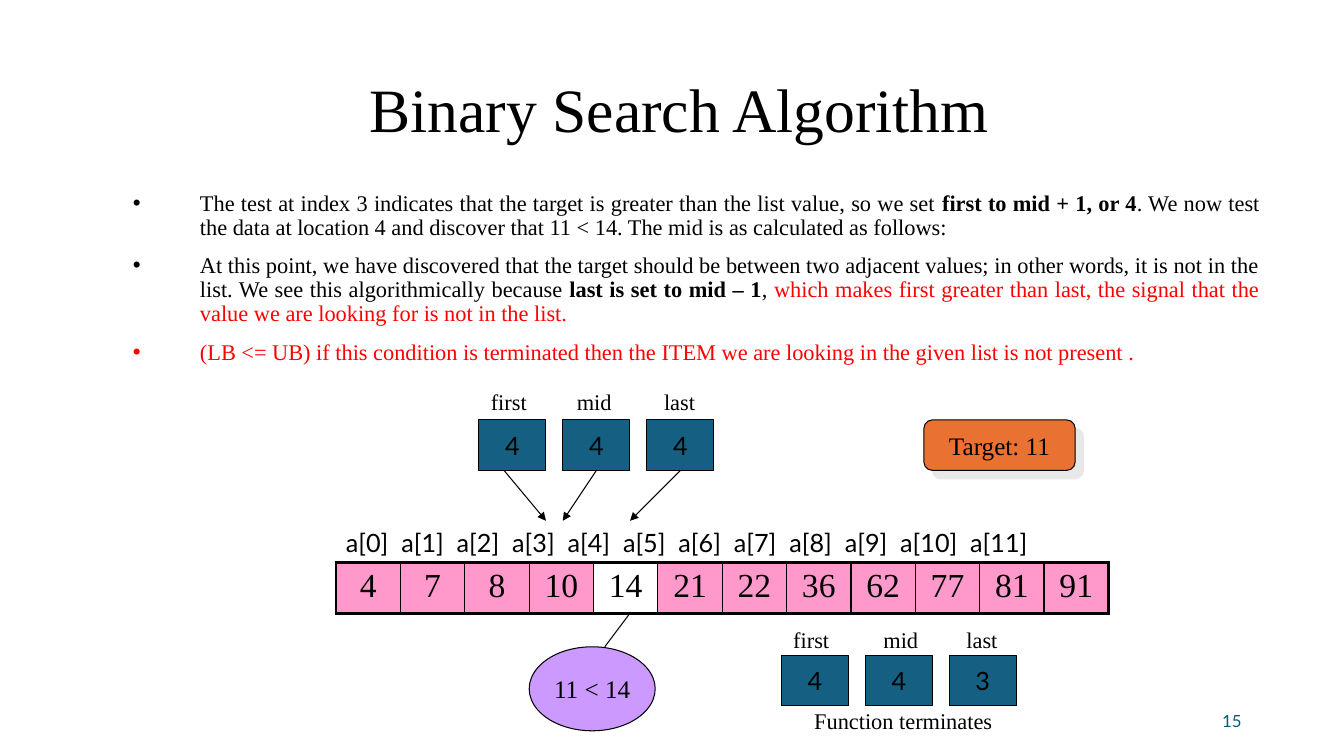
from dataclasses import dataclass

from lxml import etree
from pptx import Presentation
from pptx.dml.color import RGBColor
from pptx.enum.shapes import MSO_CONNECTOR, MSO_SHAPE
from pptx.enum.text import MSO_ANCHOR, MSO_AUTO_SIZE, PP_ALIGN
from pptx.oxml.ns import qn
from pptx.util import Emu, Pt

EMU_PER_PX = 9525
SERIF, SANS = "Times New Roman", "Lato"
BLACK, RED, TEAL, PINK = "000000", "FF0000", "156082", "FF99CC"
LEFT, CENTER, RIGHT, JUSTIFY = PP_ALIGN.LEFT, PP_ALIGN.CENTER, PP_ALIGN.RIGHT, PP_ALIGN.JUSTIFY
TOP, MIDDLE = MSO_ANCHOR.TOP, MSO_ANCHOR.MIDDLE
RECTANGLE, ROUNDED, OVAL = MSO_SHAPE.RECTANGLE, MSO_SHAPE.ROUNDED_RECTANGLE, MSO_SHAPE.OVAL


@dataclass
class Box:
    left: int
    top: int
    width: int
    height: int


@dataclass
class Run:
    text: str
    bold: bool = False
    color: str = BLACK


@dataclass
class Label:
    text: str
    box: Box
    size: int = 16
    font: str = SERIF


@dataclass
class Node:
    text: str
    box: Box
    kind: int = RECTANGLE
    fill: str = TEAL
    font: str = SANS


@dataclass
class Line:
    start: tuple[int, int]
    end: tuple[int, int]
    arrow: bool = True


@dataclass
class Pointers:
    left: int
    top: int
    values: list[int]
    label_top: int
    label_lefts: list[int]


BULLETS = [
    [Run("The test at index 3 indicates that the target is greater than the list value, so we set "),
     Run("first to mid + 1, or 4", bold=True),
     Run(". We now test the data at location 4 and discover that 11 < 14. "
         "The mid is as calculated as follows:")],
    [Run("At this point, we have discovered that the target should be between two adjacent values; "
         "in other words, it is not in the list. We see this algorithmically because "),
     Run("last is set to mid – 1", bold=True),
     Run(", "),
     Run("which makes first greater than last, the signal that the value we are looking for "
         "is not in the list.", color=RED)],
    [Run("(LB <= UB) if this condition is terminated then the ITEM we are looking in the given "
         "list is not present .", color=RED)],
]
ARRAY = [4, 7, 8, 10, 14, 21, 22, 36, 62, 77, 81, 91]
TESTED_INDEX = 4
ARRAY_BOX = Box(320, 536, 736, 48)
POINTER_NAMES = {"first": 54, "mid": 53, "last": 49}
POINTER_PITCH = 80
POINTER_GROUPS = [
    Pointers(456, 400, [4, 4, 4], 365, [458, 540, 623]),
    Pointers(744, 624, [4, 4, 3], 592, [746, 832, 911]),
]
LABELS = [
    Label("  ".join(f"a[{index}]" for index in range(len(ARRAY))), Box(320, 497, 741, 38), 18, SANS),
    Label("Function terminates", Box(766, 669, 190, 36)),
]
TARGET = Node("Target: 11", Box(880, 400, 144, 48), ROUNDED, "E97132", SERIF)
COMPARISON = Node("11 < 14", Box(504, 616, 120, 80), OVAL, "CC99FF", SERIF)
LINES = [
    Line((576, 616), (600, 584), arrow=False),
    Line((480, 448), (520, 496)),
    Line((568, 448), (536, 496)),
    Line((648, 448), (600, 496)),
]


def px(value: int) -> Emu:
    return Emu(value * EMU_PER_PX)


def rgb(value: str) -> RGBColor:
    return RGBColor.from_string(value)


def place(box: Box) -> list[Emu]:
    return [px(value) for value in (box.left, box.top, box.width, box.height)]


def apply(target, values: dict) -> None:
    for name, value in values.items():
        setattr(target, name, value)


def add_run(paragraph, text: str, size: int, font: str, color: str = BLACK, bold: bool = False) -> None:
    run = paragraph.add_run()
    run.text = text
    apply(run.font, {"size": Pt(size), "name": font, "bold": bold})
    run.font.color.rgb = rgb(color)


def write(frame, text: str, size: int, font: str, align=LEFT, anchor=TOP,
          wrap: bool = False, color: str = BLACK) -> None:
    apply(frame, {"word_wrap": wrap, "vertical_anchor": anchor})
    paragraph = frame.paragraphs[0]
    paragraph.alignment = align
    add_run(paragraph, text, size, font, color)


def add_title(slide, text: str) -> None:
    title = slide.shapes.title
    apply(title, dict(zip(("left", "top", "width", "height"), place(Box(88, 38, 1104, 139)))))
    write(title.text_frame, text, 44, SERIF, CENTER, MIDDLE, wrap=True)
    title.text_frame.paragraphs[0].line_spacing = 0.9


def add_bullets(slide, box: Box) -> None:
    frame = slide.shapes.add_textbox(*place(box)).text_frame
    frame.word_wrap = True
    for index, runs in enumerate(BULLETS):
        paragraph = frame.add_paragraph() if index else frame.paragraphs[0]
        apply(paragraph, {"alignment": JUSTIFY, "line_spacing": 0.9, "space_before": Pt(10)})
        properties = paragraph._p.get_or_add_pPr()
        properties.set("marL", str(px(64)))
        properties.set("indent", str(px(-64)))
        etree.SubElement(properties, qn("a:buFont"), typeface="Arial")
        etree.SubElement(properties, qn("a:buChar"), char="•")
        for run in runs:
            add_run(paragraph, run.text, 16, SERIF, run.color, run.bold)


def add_border(cell, side: str, width: float) -> None:
    border = etree.SubElement(cell._tc.get_or_add_tcPr(), qn(f"a:{side}"), w=str(Pt(width)))
    fill = etree.SubElement(border, qn("a:solidFill"))
    etree.SubElement(fill, qn("a:srgbClr"), val=BLACK)


def add_array(slide) -> None:
    table = slide.shapes.add_table(1, len(ARRAY), *place(ARRAY_BOX)).table
    apply(table, {"first_row": False, "horz_banding": False})
    last = len(ARRAY) - 1
    for index, value in enumerate(ARRAY):
        table.columns[index].width = px(ARRAY_BOX.width) // len(ARRAY)
        cell = table.cell(0, index)
        write(cell.text_frame, str(value), 24, SERIF, CENTER, wrap=True)
        widths = {"lnL": 1 if index else 2.25, "lnR": 2.25 if index == last else 1,
                  "lnT": 2.25, "lnB": 2.25}
        for side, width in widths.items():
            add_border(cell, side, width)
        if index == TESTED_INDEX:
            cell.fill.background()
        else:
            cell.fill.solid()
            cell.fill.fore_color.rgb = rgb(PINK)


def add_label(slide, label: Label) -> None:
    frame = slide.shapes.add_textbox(*place(label.box)).text_frame
    write(frame, label.text, label.size, label.font)
    frame.auto_size = MSO_AUTO_SIZE.SHAPE_TO_FIT_TEXT


def add_node(slide, node: Node):
    shape = slide.shapes.add_shape(node.kind, *place(node.box))
    shape.shadow.inherit = False
    shape.fill.solid()
    shape.fill.fore_color.rgb = rgb(node.fill)
    shape.line.color.rgb = rgb(BLACK)
    shape.line.width = Pt(0.75)
    write(shape.text_frame, node.text, 18, node.font, CENTER, MIDDLE)
    return shape


def add_shadow(shape) -> None:
    effects = shape._element.spPr.find(qn("a:effectLst"))
    shadow = etree.SubElement(effects, qn("a:outerShdw"), dist=str(Pt(8.5)), dir="2700000",
                              algn="ctr", rotWithShape="0")
    etree.SubElement(shadow, qn("a:srgbClr"), val="E8E8E8")


def add_pointers(slide, group: Pointers) -> None:
    for index, (name, width) in enumerate(POINTER_NAMES.items()):
        box = Box(group.left + index * POINTER_PITCH, group.top, 64, 48)
        add_node(slide, Node(str(group.values[index]), box))
        add_label(slide, Label(name, Box(group.label_lefts[index], group.label_top, width, 36)))


def add_line(slide, line: Line) -> None:
    ends = [px(value) for value in (*line.start, *line.end)]
    connector = slide.shapes.add_connector(MSO_CONNECTOR.STRAIGHT, *ends)
    connector.line.color.rgb = rgb(BLACK)
    connector.line.width = Pt(0.75)
    if line.arrow:
        etree.SubElement(connector.line._get_or_add_ln(), qn("a:tailEnd"), type="triangle")
    etree.SubElement(connector._element.spPr, qn("a:effectLst"))


def main() -> None:
    presentation = Presentation()
    apply(presentation, {"slide_width": px(1280), "slide_height": px(720)})
    slide = presentation.slides.add_slide(presentation.slide_layouts[5])

    # Title, explanation and page number
    add_title(slide, " Binary Search Algorithm")
    add_bullets(slide, Box(117, 178, 1092, 528))
    number = slide.shapes.add_textbox(*place(Box(904, 667, 288, 38)))
    write(number.text_frame, "15", 12, SANS, RIGHT, MIDDLE, wrap=True, color="045C75")

    # Array with its indices, pointers and comparison
    add_array(slide)
    for label in LABELS:
        add_label(slide, label)
    for group in POINTER_GROUPS:
        add_pointers(slide, group)
    add_shadow(add_node(slide, TARGET))
    add_node(slide, COMPARISON)
    for line in LINES:
        add_line(slide, line)

    presentation.save("out.pptx")


if __name__ == "__main__":
    main()
